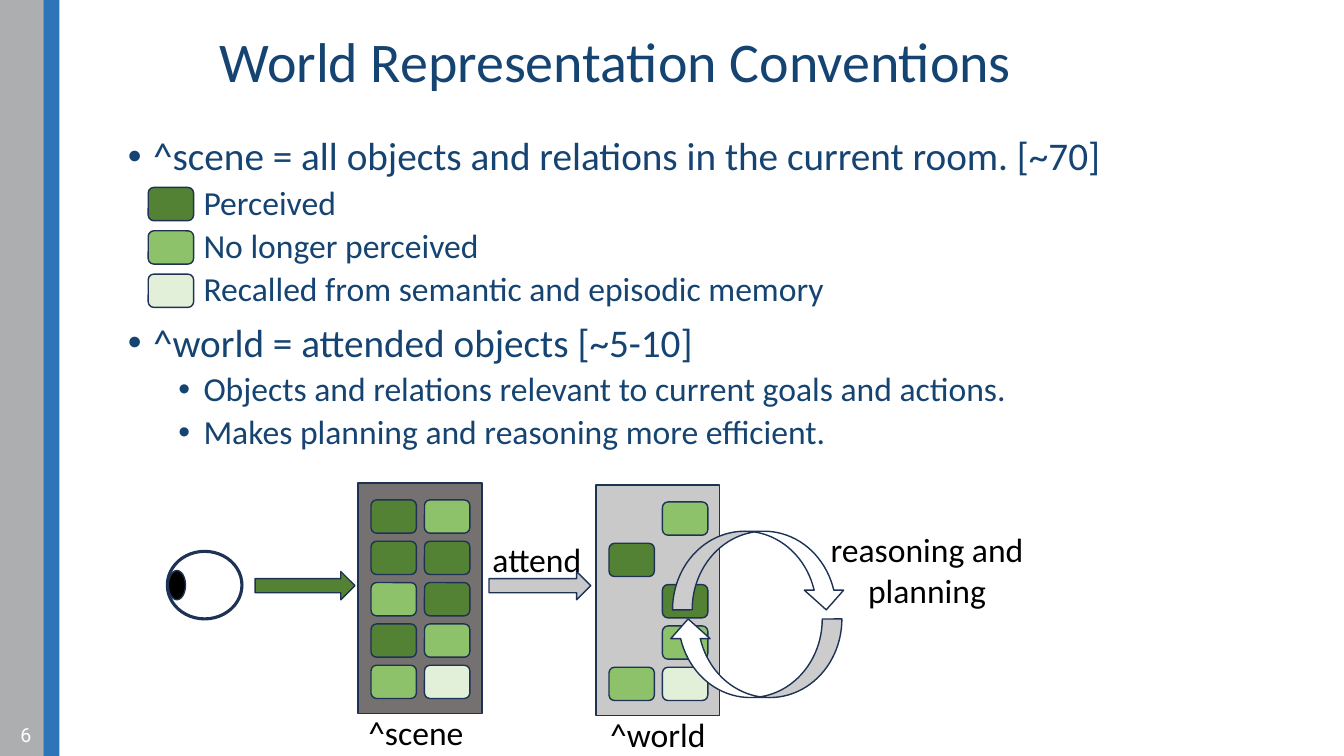
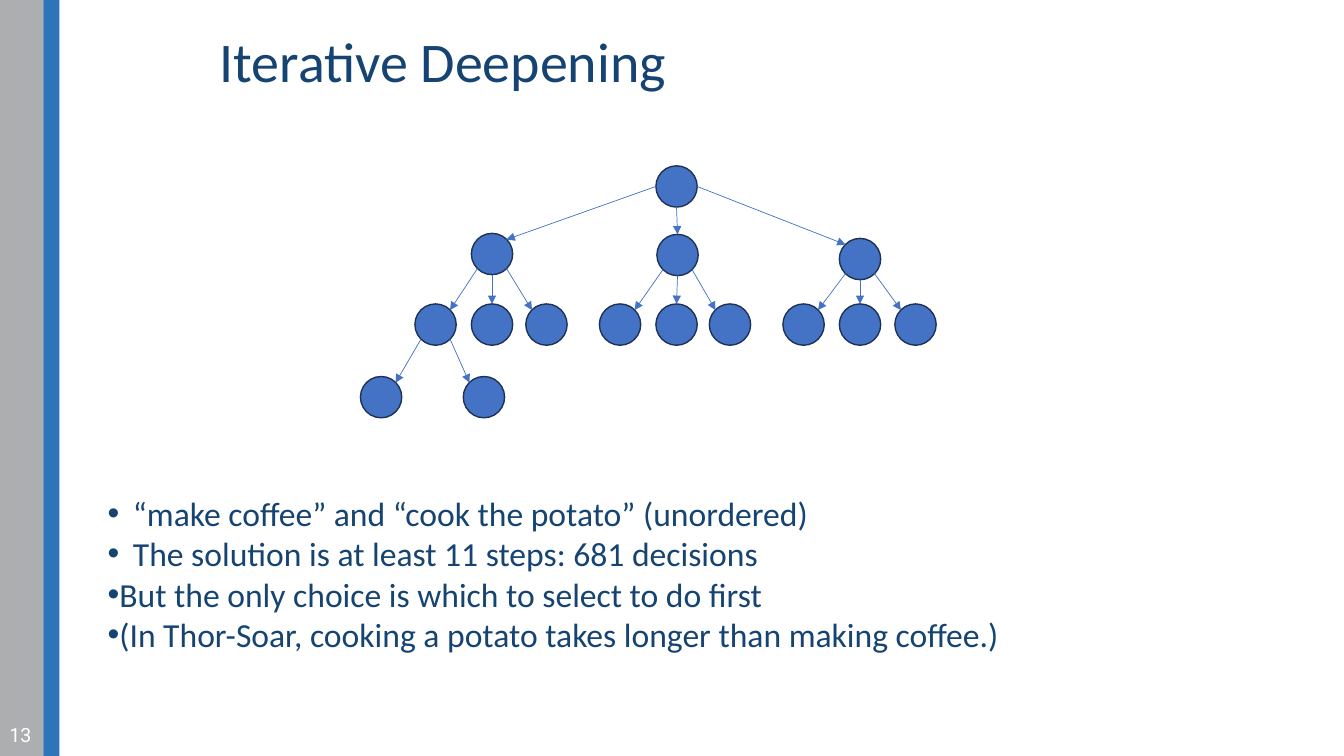
from dataclasses import dataclass

from lxml import etree
from pptx import Presentation
from pptx.dml.color import RGBColor
from pptx.enum.shapes import MSO_CONNECTOR, MSO_SHAPE
from pptx.enum.text import MSO_ANCHOR, PP_ALIGN
from pptx.oxml.ns import qn
from pptx.util import Inches, Pt

RECT, ROUND, OVAL = MSO_SHAPE.RECTANGLE, MSO_SHAPE.ROUNDED_RECTANGLE, MSO_SHAPE.OVAL
ARROW, CURVE = MSO_SHAPE.RIGHT_ARROW, MSO_SHAPE.CURVED_DOWN_ARROW
LEFT, CENTER, RIGHT = PP_ALIGN.LEFT, PP_ALIGN.CENTER, PP_ALIGN.RIGHT
TOP, MIDDLE = MSO_ANCHOR.TOP, MSO_ANCHOR.MIDDLE
LINE = MSO_CONNECTOR.STRAIGHT


@dataclass
class Theme:
    font: str = "Calibri"
    num_font: str = "Roboto"
    title: int = 40
    head: int = 28
    text: int = 24
    num: int = 14
    navy: str = "164472"
    edge: str = "1E3256"
    gray: str = "ACAEAF"
    blue: str = "2D74B9"
    node: str = "4472C4"
    white: str = "FFFFFF"
    black: str = "000000"
    dark: str = "548235"
    mid: str = "8EC26A"
    pale: str = "E2F0D9"
    scene: str = "767171"
    world: str = "C9C9C9"


theme = Theme()


def draw(slide, kind, box, fill, width=1):
    """Add a filled shape; width 0 means no outline."""
    shape = slide.shapes.add_shape(kind, *map(Inches, box))
    shape.shadow.inherit = False
    shape.fill.solid()
    shape.fill.fore_color.rgb = RGBColor.from_string(fill)
    if width:
        shape.line.color.rgb = RGBColor.from_string(theme.edge)
        shape.line.width = Pt(width)
    else:
        shape.line.fill.background()
    return shape


def write(slide, box, text, size, color, align=LEFT, anchor=TOP, font=theme.font, side=0.1):
    """Add a wrapped text box, one paragraph for each line of text."""
    frame = slide.shapes.add_textbox(*map(Inches, box)).text_frame
    frame.word_wrap = True
    frame.vertical_anchor = anchor
    frame.margin_left = frame.margin_right = Inches(side)
    frame.text = text
    for para in frame.paragraphs:
        para.alignment = align
        for run in para.runs:
            run.font.name = font
            run.font.size = Pt(size)
            run.font.color.rgb = RGBColor.from_string(color)
    return frame


deck = Presentation()
deck.slide_width, deck.slide_height = Inches(13.33), Inches(7.5)

# Body rows: text, size, left margin, first-line indent, space before, bullet
head, text = theme.head, theme.text
world_rows = [
    ("^scene = all objects and relations in the current room. [~70]", head, 0.25, -0.25, 0, True),
    ("Perceived", text, 0.75, 0, 5, False),
    ("No longer perceived", text, 0.75, 0, 5, False),
    ("Recalled from semantic and episodic memory", text, 0.75, 0, 5, False),
    ("^world = attended objects [~5-10]", head, 0.25, -0.25, 10, True),
    ("Objects and relations relevant to current goals and actions.", text, 0.75, -0.25, 5, True),
    ("Makes planning and reasoning more efficient.", text, 0.75, -0.25, 5, True),
]
deep_rows = [
    ("“make coffee” and “cook the potato” (unordered)", text, 0.25, -0.25, 0, True),
    ("The solution is at least 11 steps: 681 decisions", text, 0.25, -0.25, 0, True),
    ("But the only choice is which to select to do first", text, 0, -0.25, 0, True),
    ("(In Thor-Soar, cooking a potato takes longer than making coffee.)", text, 0, -0.25, 0, True),
]
pages = [
    ("World Representation Conventions", "6", (1.17, 1.31, 11.91, 3.28), 0.9, world_rows),
    ("Iterative Deepening", "13", (0.97, 4.84, 10.4, 2.52), 1.0, deep_rows),
]

# Shared frame: bands, title, body, slide number
for title, num, box, space, rows in pages:
    slide = deck.slides.add_slide(deck.slide_layouts[6])
    draw(slide, RECT, (-0.02, -0.01, 0.45, 7.53), theme.gray, 0)
    draw(slide, RECT, (0.43, -0.01, 0.16, 7.53), theme.blue, 0)
    frame = write(slide, (2.08, 0.11, 10.82, 1.06), title, theme.title, theme.navy, anchor=MIDDLE)
    frame.paragraphs[0].line_spacing = 0.9
    write(slide, (-0.05, 7.09, 0.46, 0.4), num, theme.num, theme.white, RIGHT, MIDDLE, theme.num_font)

    lines = "\n".join(row[0] for row in rows)
    frame = write(slide, box, lines, text, theme.navy)
    for para, (_, size, left, first, before, dot) in zip(frame.paragraphs, rows):
        para.line_spacing = space
        if before:
            para.space_before = Pt(before)
        props = para._p.get_or_add_pPr()
        props.set("marL", str(Inches(left)))
        props.set("indent", str(Inches(first)))
        if dot:
            etree.SubElement(props, qn("a:buFont")).set("typeface", "Arial")
            etree.SubElement(props, qn("a:buChar")).set("char", "•")
        para.runs[0].font.size = Pt(size)

first, second = deck.slides

# Eye and straight arrows
draw(first, OVAL, (1.66, 5.47, 0.74, 0.67), theme.white, 2.25)
draw(first, OVAL, (1.67, 5.66, 0.17, 0.29), theme.black)
draw(first, ARROW, (2.53, 5.67, 0.99, 0.28), theme.dark)
draw(first, ARROW, (4.85, 5.67, 1.01, 0.28), theme.world)

# Memory panels: each letter is a chip, a dot is an empty place
chips = {"D": theme.dark, "M": theme.mid, "P": theme.pale}
panels = [
    ("^scene", 3.55, 4.79, 3.31, theme.scene, ["DM", "DD", "MD", "DM", "MP"]),
    ("^world", 5.91, 4.81, 5.71, theme.world, [".M", "D.", ".D", ".M", "MP"]),
]
for name, left, top, start, fill, grid in panels:
    draw(first, RECT, (left, top, 1.23, 2.29), fill)
    for row, codes in enumerate(grid):
        for col, code in enumerate(codes):
            if code in chips:
                spot = (left + 0.13 + 0.53 * col, top + 0.17 + 0.41 * row, 0.45, 0.33)
                draw(first, ROUND, spot, chips[code])
    write(first, (start, top + 2.22, 1.63, 0.5), name, text, theme.black, CENTER)

# Legend chips
for row, fill in enumerate(chips.values()):
    draw(first, ROUND, (1.47, 1.86 + 0.43 * row, 0.45, 0.33), fill)

# Labels and reasoning loop
write(first, (4.82, 5.3, 1.01, 0.5), "attend", text, theme.black, CENTER, side=0)
write(first, (8.23, 5.2, 1.93, 0.91), "reasoning and planning", text, theme.black, CENTER, side=0)
draw(first, CURVE, (6.67, 5.27, 1.72, 0.78), theme.white)
draw(first, CURVE, (6.63, 6.14, 1.72, 0.78), theme.white).rotation = 180

# Search tree: node centres, then the children of each parent
size = 0.41
half, slant = size / 2, size * 0.35
nodes = {
    "root": (6.71, 1.85),
    "a": (4.88, 2.52), "b": (6.72, 2.53), "c": (8.53, 2.57),
    "a1": (4.32, 3.22), "a2": (4.88, 3.22), "a3": (5.42, 3.22),
    "b1": (6.15, 3.22), "b2": (6.71, 3.22), "b3": (7.24, 3.22),
    "c1": (7.97, 3.22), "c2": (8.53, 3.22), "c3": (9.08, 3.22),
    "d1": (3.78, 3.94), "d2": (4.8, 3.94),
}
tree = {
    "root": ["a", "b", "c"],
    "a": ["a1", "a2", "a3"],
    "b": ["b1", "b2", "b3"],
    "c": ["c1", "c2", "c3"],
    "a1": ["d1", "d2"],
}
for x, y in nodes.values():
    draw(second, OVAL, (x - half, y - half, size, size), theme.node)

# Branches leave a parent on the child's side and enter from the other
for parent, kids in tree.items():
    for kid in kids:
        (px, py), (kx, ky) = nodes[parent], nodes[kid]
        side = 0 if abs(kx - px) < 0.1 else (1 if kx > px else -1)
        if side == 0:
            ends = (px, py + half, kx, ky - half)
        elif parent == "root":
            ends = (px + side * half, py, kx - side * slant, ky - slant)
        else:
            ends = (px + side * slant, py + slant, kx - side * slant, ky - slant)
        branch = second.shapes.add_connector(LINE, *map(Inches, ends))
        branch.line.color.rgb = RGBColor.from_string(theme.node)
        branch.line.width = Pt(0.5)
        etree.SubElement(branch.line._get_or_add_ln(), qn("a:tailEnd")).set("type", "triangle")
        etree.SubElement(branch._element.spPr, qn("a:effectLst"))

deck.save("out.pptx")
